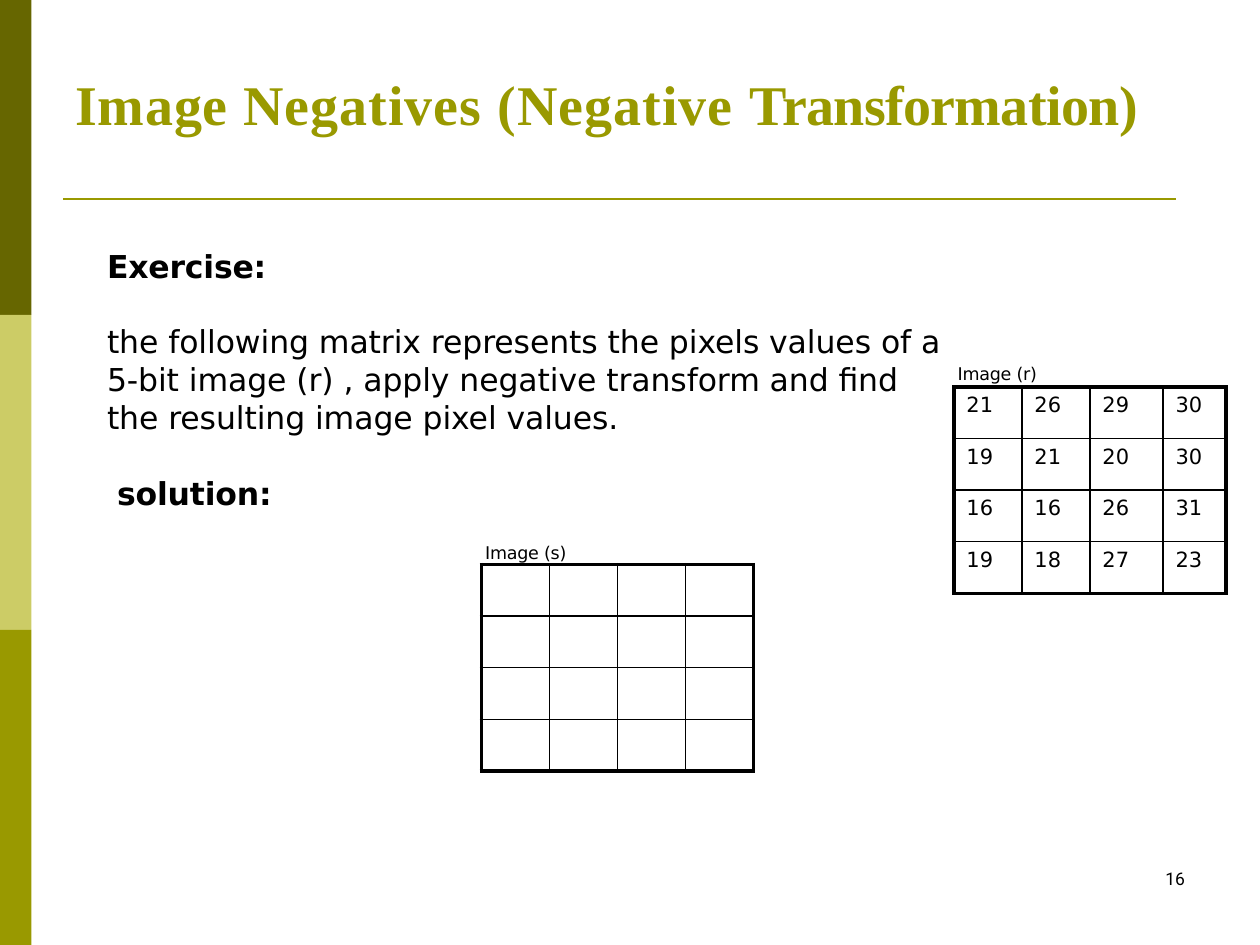
import pptx
import pptx.dml.color
import pptx.enum.shapes
import pptx.enum.text
import pptx.oxml
import pptx.oxml.ns
import pptx.util
from dataclasses import dataclass
from lxml import etree
from pptx.util import Inches, Pt


@dataclass(frozen=True)
class Theme:
    olive: str = "999900"
    dark_olive: str = "666600"
    light_olive: str = "CCCC66"
    black: str = "000000"
    title_font: str = "Times New Roman"
    body_font: str = "DejaVu Sans"
    number_font: str = "Roboto"
    title_size: int = 32
    body_size: int = 18
    cell_size: int = 12
    small_size: int = 10
    outer_border: float = 2.25
    inner_border: float = 1


THEME = Theme()
IMAGE_R = [[21, 26, 29, 30], [19, 21, 20, 30], [16, 16, 26, 31], [19, 18, 27, 23]]
IMAGE_S = [[""] * 4 for _ in range(4)]


def rgb(color):
    return pptx.dml.color.RGBColor.from_string(color)


def style_paragraph(paragraph, size, font, color, bold=False):
    paragraph.font.size = Pt(size)
    paragraph.font.name = font
    paragraph.font.bold = bold
    paragraph.font.color.rgb = rgb(color)


def add_text(slide, box, pieces, size, font=THEME.body_font, color=THEME.black, bold=False):
    """Add one paragraph; pieces are (text, letter spacing in points)."""
    shape = slide.shapes.add_textbox(*map(Inches, box))
    frame = shape.text_frame
    frame.word_wrap = True
    frame.margin_left = frame.margin_top = Inches(0.01)
    frame.margin_right = frame.margin_bottom = 0
    paragraph = frame.paragraphs[0]
    style_paragraph(paragraph, size, font, color, bold)
    for text, spacing in pieces:
        run = paragraph.add_run()
        run.text = text
        run.font.size = Pt(size)
        run._r.get_or_add_rPr().set("spc", str(round(spacing * 100)))


def add_side_bars(slide):
    height = 2.5
    for index, color in enumerate((THEME.dark_olive, THEME.light_olive, THEME.olive)):
        shape = slide.shapes.add_shape(
            pptx.enum.shapes.MSO_SHAPE.RECTANGLE,
            0, Inches(index * height), Inches(0.25), Inches(height))
        shape.shadow.inherit = False
        shape.fill.solid()
        shape.fill.fore_color.rgb = rgb(color)
        shape.line.fill.background()


def add_title_rule(slide):
    rule = slide.shapes.add_connector(
        pptx.enum.shapes.MSO_CONNECTOR.STRAIGHT,
        Inches(0.5), Inches(1.58), Inches(9.33), Inches(1.58))
    rule.line.color.rgb = rgb(THEME.olive)
    rule.line.width = Pt(1.5)
    etree.SubElement(rule._element.spPr, pptx.oxml.ns.qn("a:effectLst"))


def set_borders(cell, outer_sides):
    """Draw all four borders, thicker on the sides where outer_sides is true."""
    properties = cell._tc.get_or_add_tcPr()
    for side in "LRTB":
        width = THEME.outer_border if outer_sides[side] else THEME.inner_border
        line = etree.SubElement(
            properties, pptx.oxml.ns.qn(f"a:ln{side}"), w=str(int(Pt(width))))
        fill = etree.SubElement(line, pptx.oxml.ns.qn("a:solidFill"))
        etree.SubElement(fill, pptx.oxml.ns.qn("a:srgbClr"), val=THEME.black)


def add_matrix(slide, left, top, column_widths, values):
    row_height = 0.41
    last_row, last_column = len(values) - 1, len(column_widths) - 1
    table = slide.shapes.add_table(
        len(values), len(column_widths), Inches(left), Inches(top),
        Inches(sum(column_widths)), Inches(row_height * len(values))).table
    table.first_row = table.horz_banding = False
    for column, width in zip(table.columns, column_widths):
        column.width = Inches(width)
    for row_index, row in enumerate(values):
        table.rows[row_index].height = Inches(row_height)
        for column_index, value in enumerate(row):
            cell = table.cell(row_index, column_index)
            cell.margin_left, cell.margin_top = Inches(0.1), Inches(0.05)
            cell.margin_right = cell.margin_bottom = 0
            set_borders(cell, {"L": column_index == 0, "R": column_index == last_column,
                               "T": row_index == 0, "B": row_index == last_row})
            cell.fill.background()
            cell.text = str(value)
            style_paragraph(cell.text_frame.paragraphs[0],
                            THEME.cell_size, THEME.body_font, THEME.black)


def main():
    presentation = pptx.Presentation()
    presentation.slide_width, presentation.slide_height = Inches(10), Inches(7.5)
    slide = presentation.slides.add_slide(presentation.slide_layouts[6])

    add_side_bars(slide)
    add_title_rule(slide)
    add_text(slide, (0.59, 0.54, 8.46, 0.56),
             [("Image ", 0.4), ("Negatives (Negative ", 0.6), ("Transformation)", -0.4)],
             THEME.title_size, THEME.title_font, THEME.olive, bold=True)
    add_text(slide, (9.24, 6.88, 0.24, 0.18), [("16", -0.1)],
             THEME.small_size, THEME.number_font)

    add_text(slide, (0.84, 1.95, 1.4, 0.33), [("Exercise:", -0.1)],
             THEME.body_size, bold=True)
    add_text(slide, (0.84, 2.55, 6.73, 0.93),
             [("the following matrix represents the pixels values of a  5-bit image (r) , "
               "apply negative transform and find the resulting image pixel values.", -0.05)],
             THEME.body_size)
    add_text(slide, (0.92, 3.75, 1.4, 0.33), [("solution:", -0.1)],
             THEME.body_size, bold=True)

    add_matrix(slide, 7.57, 3.07, [0.54, 0.54, 0.58, 0.5], IMAGE_R)
    add_matrix(slide, 3.82, 4.48, [0.54] * 4, IMAGE_S)
    for left, top, label in ((7.59, 2.87, "Image (r)"), (3.84, 4.29, "Image (s)")):
        add_text(slide, (left, top, 0.75, 0.19), [(label, -0.1)], THEME.small_size)

    presentation.save("out.pptx")


if __name__ == "__main__":
    main()
